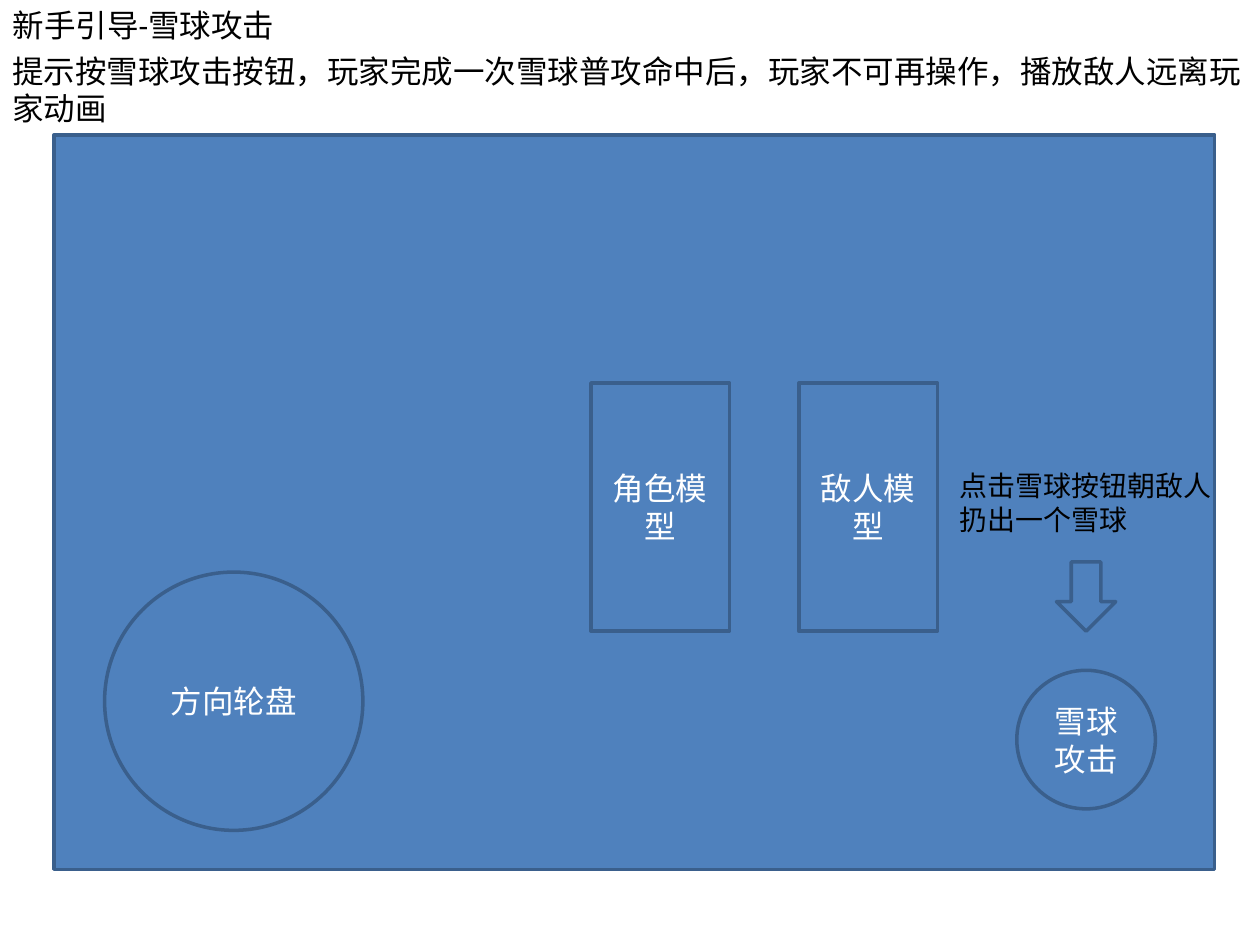
from pptx import Presentation
from pptx.dml.color import RGBColor
from pptx.enum.shapes import MSO_SHAPE
from pptx.enum.text import MSO_ANCHOR, MSO_AUTO_SIZE, PP_ALIGN
from pptx.util import Inches, Pt

RECTANGLE = MSO_SHAPE.RECTANGLE
CIRCLE = MSO_SHAPE.FLOWCHART_CONNECTOR
DOWN_ARROW = MSO_SHAPE.DOWN_ARROW
TOP, MIDDLE = MSO_ANCHOR.TOP, MSO_ANCHOR.MIDDLE
LEFT, CENTER = PP_ALIGN.LEFT, PP_ALIGN.CENTER
FIT_SHAPE = MSO_AUTO_SIZE.SHAPE_TO_FIT_TEXT

BLUE = RGBColor(0x4F, 0x81, 0xBD)
DARK_BLUE = RGBColor(0x3A, 0x5F, 0x8C)
WHITE = RGBColor(0xFF, 0xFF, 0xFF)
BLACK = RGBColor(0x00, 0x00, 0x00)

TITLE_ONLY = 5


def write(shape, text, size, color, alignment, frame_format):
    frame = shape.text_frame
    for name, value in frame_format.items():
        setattr(frame, name, value)
    paragraph = frame.paragraphs[0]
    paragraph.alignment = alignment
    run = paragraph.add_run()
    run.text = text
    font_format = {"name": "Calibri", "size": Pt(size), "bold": False}
    for name, value in font_format.items():
        setattr(run.font, name, value)
    run.font.color.rgb = color


def write_note(shape, text, size=18):
    """Write black, left-aligned text in a box that grows with it."""
    frame_format = {"word_wrap": True, "vertical_anchor": TOP,
                    "auto_size": FIT_SHAPE}
    write(shape, text, size, BLACK, LEFT, frame_format)


def add_block(slide, kind, left, top, width, height, label=None):
    """Add an outlined blue shape with an optional centred label."""
    shape = slide.shapes.add_shape(kind, left, top, width, height)
    shape.shadow.inherit = False
    shape.fill.solid()
    shape.fill.fore_color.rgb = BLUE
    shape.line.color.rgb = DARK_BLUE
    shape.line.width = Pt(2)
    if label:
        frame_format = {"word_wrap": True, "vertical_anchor": MIDDLE}
        write(shape, label, 18, WHITE, CENTER, frame_format)


def add_heading(slide, left, top, width):
    title = slide.shapes.title
    title.left, title.top = left, top
    title.width, title.height = Inches(3.62), Inches(0.4)
    write_note(title, "新手引导-雪球攻击")
    description = slide.shapes.add_textbox(
        left, top + Inches(0.36), width, Inches(0.71))
    write_note(description, "提示按雪球攻击按钮，玩家完成一次雪球普攻命中后，"
                            "玩家不可再操作，播放敌人远离玩家动画")


def add_models(slide, left, top):
    """Add the player and enemy models side by side."""
    width, height, pitch = Inches(1.1), Inches(1.97), Inches(1.65)
    for index, label in enumerate(("角色模型", "敌人模型")):
        add_block(slide, RECTANGLE, left + index * pitch, top,
                  width, height, label)


def add_attack_hint(slide, left, top, width):
    """Add the hint, the arrow under it and the attack button."""
    hint = slide.shapes.add_textbox(left, top, width, Inches(0.64))
    write_note(hint, "点击雪球按钮朝敌人扔出一个雪球", 16)
    center = left + width // 2
    arrow_width, button_size = Inches(0.47), Inches(1.1)
    add_block(slide, DOWN_ARROW, center - arrow_width // 2,
              top + Inches(0.79), arrow_width, Inches(0.55))
    add_block(slide, CIRCLE, center - button_size // 2,
              top + Inches(1.65), button_size, button_size, "雪球攻击")


def add_game_screen(slide, left, top, width, height):
    add_block(slide, RECTANGLE, left, top, width, height)
    wheel_size = Inches(2.05)
    add_block(slide, CIRCLE, left + Inches(0.4), top + Inches(3.47),
              wheel_size, wheel_size, "方向轮盘")
    add_models(slide, left + Inches(4.26), top + Inches(1.97))
    add_attack_hint(slide, left + Inches(7.09), top + Inches(2.6), Inches(2.2))


def main():
    presentation = Presentation()
    presentation.slide_width = Inches(10)
    presentation.slide_height = Inches(7.5)
    slide = presentation.slides.add_slide(
        presentation.slide_layouts[TITLE_ONLY])
    add_heading(slide, 0, 0, presentation.slide_width)
    add_game_screen(slide, Inches(0.43), Inches(1.07),
                    Inches(9.21), Inches(5.83))
    presentation.save("out.pptx")


if __name__ == "__main__":
    main()
